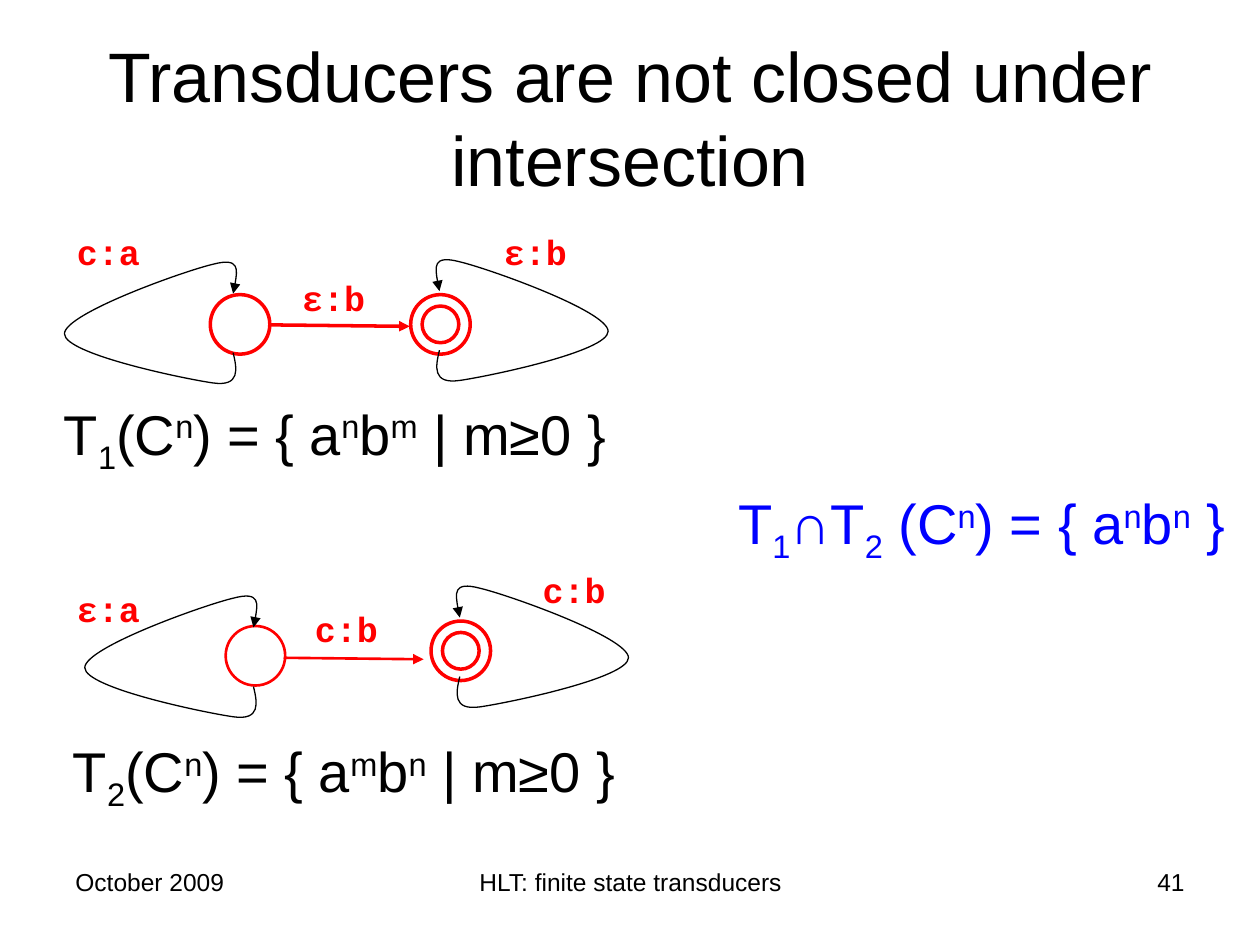
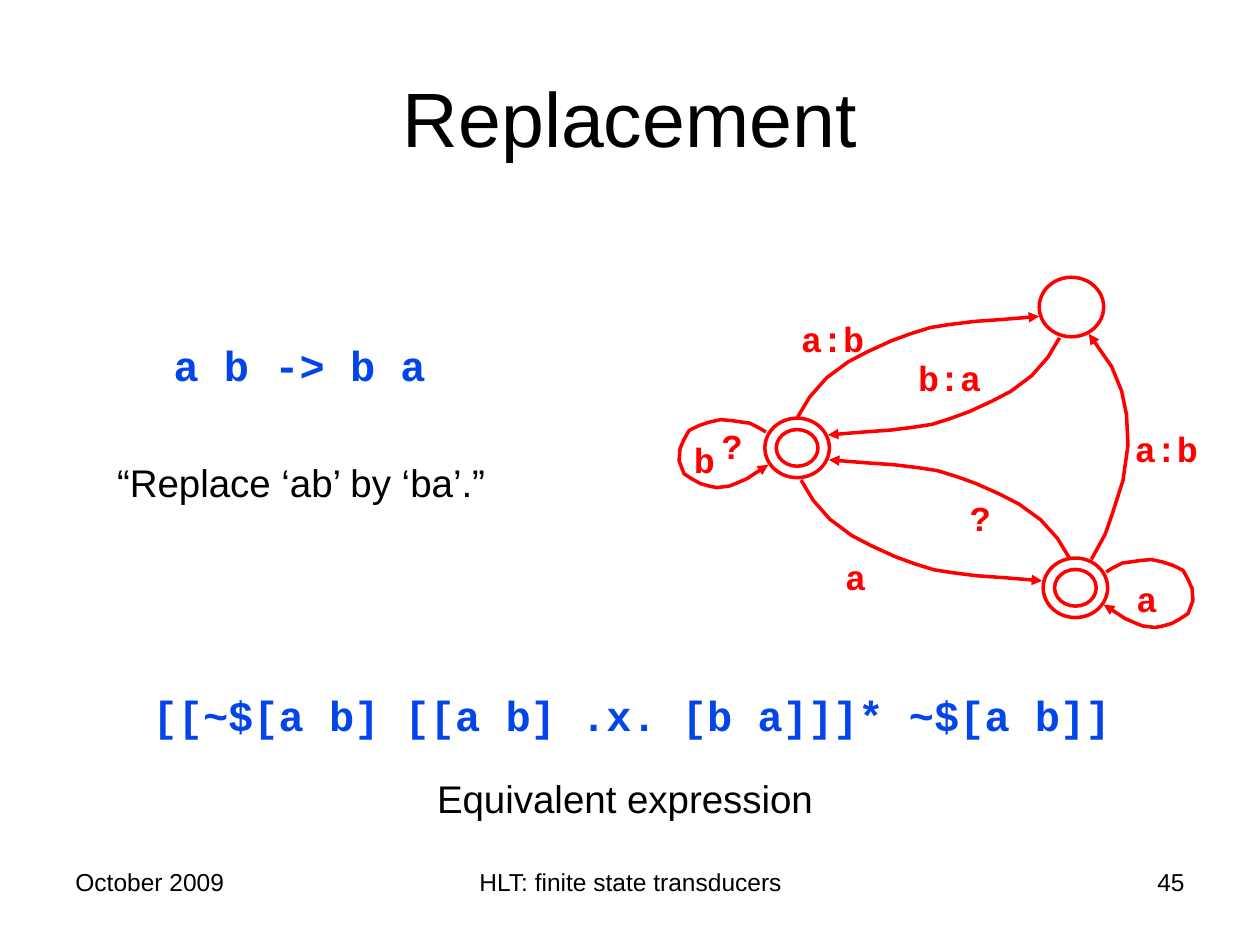
import dataclasses

import lxml.etree
import pptx
import pptx.dml.color
import pptx.enum.shapes
import pptx.enum.text
import pptx.oxml.ns
import pptx.util

Cm = pptx.util.Cm
Align = pptx.enum.text.PP_ALIGN
Anchor = pptx.enum.text.MSO_ANCHOR
qn = pptx.oxml.ns.qn


@dataclasses.dataclass(frozen=True)
class Theme:
    ink: str = "000000"
    red: str = "FF0000"
    blue: str = "0000FF"
    code_blue: str = "0345E9"
    body_font: str = "Arial"
    code_font: str = "Courier New"
    footer_size: int = 14
    label_size: int = 20
    caption_size: int = 22
    code_size: int = 24
    formula_size: int = 32
    state_line: float = 2
    thin_state_line: float = 1.5
    loop_line: float = 0.75


THEME = Theme()
STATE_INSET = 0.23

# Offsets in cm from the start of each curve
TEARDROP = [(0, 0), (0.08, 0.33), (0.15, 0.69), (-0.41, 0.61),
            (-0.97, 0.53), (-3.4, 0.03), (-3.4, -0.38),
            (-3.4, -0.79), (-0.97, -1.65), (-0.41, -1.78),
            (0.15, -1.93), (0.08, -1.55), (0, -1.19)]
SELF_LOOP = [(0, 0), (-0.13, -0.08), (-0.33, -0.18), (-0.48, -0.2),
             (-0.69, -0.23), (-0.91, -0.25), (-1.14, -0.2), (-1.35, -0.13),
             (-1.55, -0.03), (-1.65, 0.15), (-1.73, 0.33), (-1.75, 0.58),
             (-1.65, 0.84), (-1.5, 0.94), (-1.32, 1.04), (-1.14, 1.09),
             (-0.99, 1.12), (-0.74, 1.09), (-0.61, 1.04), (-0.38, 0.94),
             (-0.23, 0.84), (0.05, 0.66)]
SIDE_ARC = [(0, 0), (0.28, -0.51), (0.43, -0.94), (0.64, -1.6), (0.74, -2.31),
            (0.71, -2.92), (0.61, -3.4), (0.41, -3.89), (-0.05, -4.55)]
# Shares of the way across and up between the ends of a bow
BOW = [(0, 0), (0.05, 0.2), (0.12, 0.39), (0.21, 0.55), (0.29, 0.65),
       (0.39, 0.76), (0.47, 0.83), (0.55, 0.89), (0.63, 0.92), (0.73, 0.95),
       (0.85, 0.97), (1, 1)]


def rgb(color):
    return pptx.dml.color.RGBColor.from_string(color)


def shift(origin, point):
    return origin[0] + point[0], origin[1] + point[1]


# Text
def add_text(page, box, text, size, color=THEME.ink, font=THEME.body_font,
             bold=False, align=Align.LEFT, anchor=Anchor.TOP):
    frame = page.shapes.add_textbox(*map(Cm, box)).text_frame
    frame.word_wrap = True
    frame.vertical_anchor = anchor
    para = frame.paragraphs[0]
    para.text = text
    para.alignment = align
    para.font.size = pptx.util.Pt(size)
    para.font.name = font
    para.font.bold = bold
    para.font.color.rgb = rgb(color)
    return para


def add_label(page, position, text):
    width = 2.1 if len(text) > 1 else 1
    add_text(page, (*position, width, 1.09), text, THEME.label_size,
             THEME.red, THEME.code_font, True)


def add_formula(page, box, markup, color=THEME.ink):
    """Writes ^x as a superscript and _x as a subscript."""
    para = add_text(page, box, "", THEME.formula_size, color)
    baselines = {"^": "30000", "_": "-25000"}
    pieces = [["", None]]
    letters = iter(markup)
    for letter in letters:
        if letter in baselines:
            pieces += [[next(letters), baselines[letter]], ["", None]]
        else:
            pieces[-1][0] += letter
    for text, baseline in pieces:
        if text:
            span = para.add_run()
            span.text = text
            if baseline:
                span._r.get_or_add_rPr().set("baseline", baseline)


# States and arrows
def style_line(line, color, weight, arrow=False):
    line.color.rgb = rgb(color)
    line.width = pptx.util.Pt(weight)
    if arrow:
        outline = line._get_or_add_ln()
        lxml.etree.SubElement(outline, qn("a:tailEnd"), type="triangle")


def add_state(page, position, width=1.2, height=1.2, final=False,
              weight=THEME.state_line):
    for inset in (0, STATE_INSET) if final else (0,):
        box = (*shift(position, (inset, inset)),
               width - 2 * inset, height - 2 * inset)
        ring = page.shapes.add_shape(
            pptx.enum.shapes.MSO_SHAPE.OVAL, *map(Cm, box))
        ring.shadow.inherit = False
        ring.fill.background()
        style_line(ring.line, THEME.red, weight)


def add_straight_arrow(page, start, end, weight):
    arrow = page.shapes.add_connector(
        pptx.enum.shapes.MSO_CONNECTOR.STRAIGHT, *map(Cm, (*start, *end)))
    lxml.etree.SubElement(arrow._element.spPr, qn("a:effectLst"))
    # The line must come before the effects
    style_line(arrow.line, THEME.red, weight, arrow=True)


def add_path(page, start, offsets, color=THEME.red, weight=THEME.state_line,
             mirror=False, curved=False):
    side = -1 if mirror else 1
    points = [tuple(map(Cm, shift(start, (side * across, down))))
              for across, down in offsets]
    builder = page.shapes.build_freeform(*points[0])
    builder.add_line_segments(points[1:], close=False)
    path = builder.convert_to_shape()
    path.shadow.inherit = False
    path.fill.background()
    style_line(path.line, color, weight, arrow=True)
    if curved:
        bend_segments(path)


def bend_segments(path):
    """Turns each three straight segments into one Bézier curve."""
    segments = list(path._element.iter(qn("a:lnTo")))
    for first in range(0, len(segments), 3):
        curve = lxml.etree.Element(qn("a:cubicBezTo"))
        segments[first].addprevious(curve)
        for segment in segments[first:first + 3]:
            curve.append(segment[0])
            segment.getparent().remove(segment)


def add_bow(page, start, end):
    width, height = end[0] - start[0], end[1] - start[1]
    add_path(page, start, [(across * width, up * height) for across, up in BOW])


# Frame shared by the slides
def add_page(deck, title, title_size, number):
    page = deck.slides.add_slide(deck.slide_layouts[6])
    add_text(page, (1.27, 0.76, 22.86, 3.18), title, title_size,
             align=Align.CENTER, anchor=Anchor.MIDDLE)
    footers = [(1.27, 5.92, "October 2009", Align.LEFT),
               (8.69, 8.05, "HLT: finite state transducers", Align.CENTER),
               (18.21, 5.92, number, Align.RIGHT)]
    for left, width, text, align in footers:
        add_text(page, (left, 17.35, width, 1.32), text, THEME.footer_size,
                 align=align)
    return page


# Two-state transducer with its formula
def add_transducer(page, origin, first, last, arrow, loops, labels,
                   formula_left, formula, weight):
    add_state(page, shift(origin, first), weight=weight)
    add_state(page, shift(origin, last), final=True)
    arrow_start = shift(origin, arrow)
    add_straight_arrow(page, arrow_start, shift(arrow_start, (2.82, 0.03)), weight)
    for start, mirror in zip(loops, (False, True)):
        add_path(page, shift(origin, start), TEARDROP, THEME.ink,
                 THEME.loop_line, mirror, curved=True)
    for left, top, text in labels:
        add_label(page, shift(origin, (left, top)), text)
    add_formula(page, (*shift(origin, (formula_left, 3.4)), 12, 1.8), formula)


def build_intersection(deck):
    page = add_page(deck, "Transducers are not closed under intersection",
                    40, "41")
    add_transducer(
        page, (1.3, 4.52), first=(2.94, 1.42), last=(6.98, 1.42),
        arrow=(4.14, 2.03), loops=[(3.4, 2.59), (7.56, 2.54)],
        labels=[(0, 0, "c:a"), (4.54, 0.92, "ε:b"), (8.61, 0, "ε:b")],
        formula_left=-0.26, formula="T_1(C^n) = { a^nb^m | m≥0 }",
        weight=THEME.state_line)
    add_transducer(
        page, (1.3, 11.33), first=(3.25, 1.29), last=(7.39, 1.19),
        arrow=(4.42, 1.93), loops=[(3.81, 2.51), (7.97, 2.31)],
        labels=[(0, 0.38, "ε:a"), (4.8, 0.79, "c:b"), (9.39, 0, "c:b")],
        formula_left=-0.08, formula="T_2(C^n) = { a^mb^n | m≥0 }",
        weight=THEME.thin_state_line)
    add_formula(page, (14.63, 9.73, 10.6, 1.8),
                "T_1∩T_2 (C^n) = { a^nb^n }", THEME.blue)


# Three-state replacement network
def add_network(page, origin):
    for left, top, final in [(7.26, 0, False), (1.73, 2.84, True),
                             (7.34, 5.66, True)]:
        add_state(page, shift(origin, (left, top)), 1.3, 1.2, final)
    bows = [((2.39, 2.82), (7.26, 0.79)), ((7.67, 1.22), (3, 3.18)),
            ((7.87, 5.66), (3.02, 3.68)), ((2.46, 4.09), (7.32, 6.12))]
    for start, end in bows:
        add_bow(page, shift(origin, start), shift(origin, end))
    add_path(page, shift(origin, (8.31, 5.69)), SIDE_ARC)
    add_path(page, shift(origin, (1.75, 3.12)), SELF_LOOP)
    add_path(page, shift(origin, (8.61, 5.94)), SELF_LOOP, mirror=True)
    labels = [(2.21, 0.69, "a:b"), (4.57, 1.47, "b:a"), (8.94, 2.9, "a:b"),
              (0.05, 3.12, "b"), (0.61, 2.84, "?"), (5.61, 4.29, "?"),
              (3.1, 5.49, "a"), (8.97, 5.92, "a")]
    for left, top, text in labels:
        add_label(page, shift(origin, (left, top)), text)


# Code line with an explanation below it
def add_explained_code(page, box, code, caption, caption_shift, caption_top):
    left, top, width = box
    add_text(page, (left, top, width, 1.27), code, THEME.code_size,
             THEME.code_blue, THEME.code_font, True, Align.CENTER)
    add_text(page, (left + caption_shift, top + caption_top, width, 1.17),
             caption, THEME.caption_size, align=Align.CENTER)


def build_replacement(deck):
    page = add_page(deck, "Replacement", 44, "45")
    add_network(page, (13.69, 5.59))
    add_explained_code(page, (1.54, 6.71, 9), "a b -> b a",
                       "“Replace ‘ab’ by ‘ba’.”", 0.03, 2.41)
    add_explained_code(page, (2.23, 13.77, 21),
                       "[[~$[a b] [[a b] .x. [b a]]]* ~$[a b]]",
                       "Equivalent expression", -0.13, 1.72)


def main():
    deck = pptx.Presentation()
    deck.slide_width, deck.slide_height = Cm(25.4), Cm(19.05)
    build_intersection(deck)
    build_replacement(deck)
    deck.save("out.pptx")


if __name__ == "__main__":
    main()
